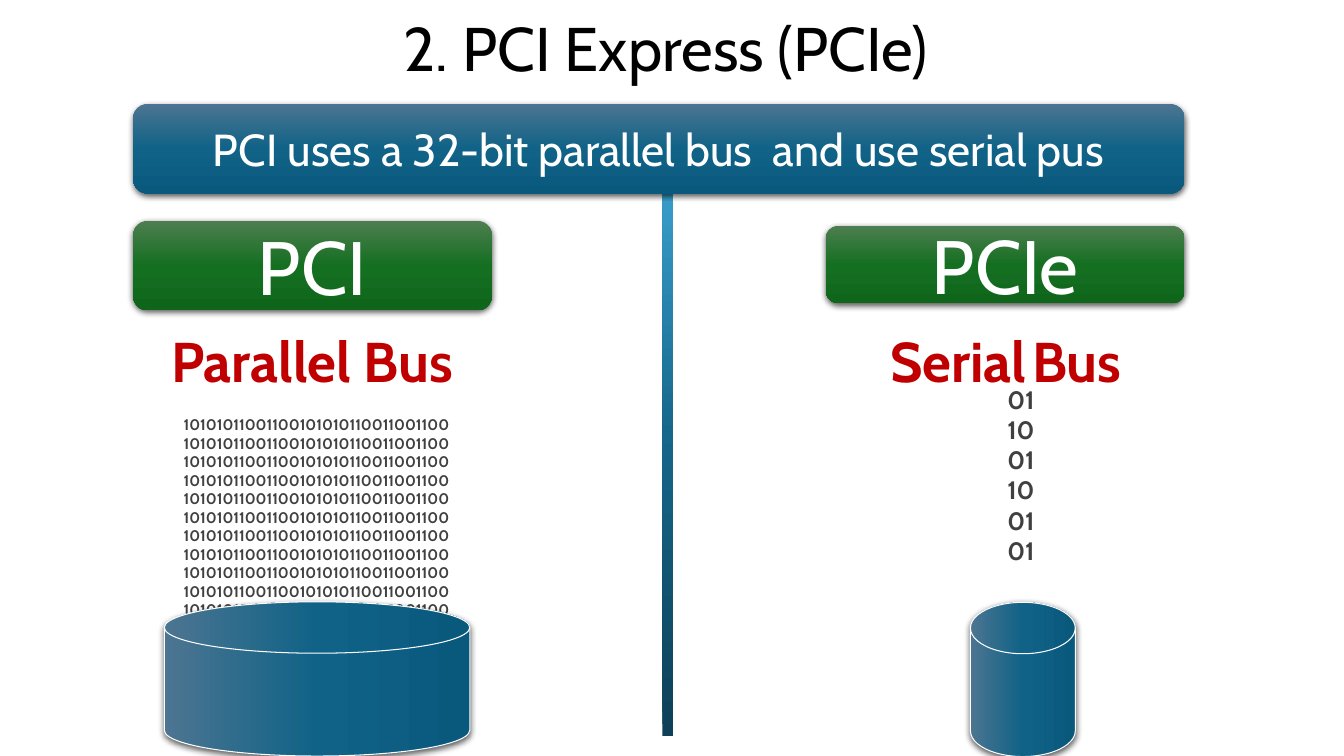
"""Build a slide comparing the parallel PCI bus with the serial PCIe bus."""

import copy
from dataclasses import dataclass

import pptx
import pptx.dml.color
import pptx.dml.fill
import pptx.enum.dml
import pptx.enum.shapes
import pptx.enum.text
import pptx.oxml
import pptx.oxml.ns
import pptx.shapes.autoshape
import pptx.shapes.shapetree
import pptx.text.text
import pptx.util

Inches = pptx.util.Inches
Geometry = pptx.enum.shapes.MSO_SHAPE
Anchor = pptx.enum.text.MSO_ANCHOR
Box = tuple[float, float, float, float]

COLORS = {
    "black": "000000",
    "white": "FFFFFF",
    "red": "C00000",
    "bit_stripe": "808080",
    "bit_ground": "404040",
}
GRADIENTS = {
    "blue": ((0, "4C7591"), (0.5, "106287"), (1, "09597D")),
    "green": ((0, "4D7E50"), (0.5, "156F21"), (1, "0F661B")),
    "divider": ((0, "0E4057"), (0.48, "16678B"), (1, "46B1E1")),
}
SHADOW = (
    f'<a:outerShdw {pptx.oxml.ns.nsdecls("a")} blurRad="57150" dist="19050"'
    ' dir="5400000" algn="ctr" rotWithShape="0">'
    f'<a:srgbClr val="{COLORS["black"]}"><a:alpha val="63000"/></a:srgbClr>'
    "</a:outerShdw>"
)


@dataclass(frozen=True)
class Run:
    text: str
    size: float
    color: str
    bold: bool = False


@dataclass(frozen=True)
class Label:
    box: Box
    lines: tuple[tuple[Run, ...], ...]
    format: dict


@dataclass(frozen=True)
class Panel:
    box: Box
    geometry: Geometry
    gradient: str
    caption: Run | None = None
    angle: float = 270
    rotation: float = 0
    shadow: bool = True
    outlined: bool = False


def rgb(name: str) -> pptx.dml.color.RGBColor:
    return pptx.dml.color.RGBColor.from_string(COLORS[name])


def write_lines(frame: pptx.text.text.TextFrame, lines: tuple[tuple[Run, ...], ...]) -> None:
    for index, runs in enumerate(lines):
        paragraph = frame.add_paragraph() if index else frame.paragraphs[0]
        paragraph.alignment = pptx.enum.text.PP_ALIGN.CENTER
        for part in runs:
            run = paragraph.add_run()
            run.text = part.text
            font_format = {"name": "Cabin", "size": pptx.util.Pt(part.size), "bold": part.bold}
            for attribute, value in font_format.items():
                setattr(run.font, attribute, value)
            if part.color == "bits":
                fill = run.font.fill
                fill.patterned()
                fill.pattern = pptx.enum.dml.MSO_PATTERN.DARK_UPWARD_DIAGONAL
                fill.fore_color.rgb = rgb("bit_stripe")
                fill.back_color.rgb = rgb("bit_ground")
            else:
                run.font.color.rgb = rgb(part.color)


def fill_gradient(shape: pptx.shapes.autoshape.Shape, panel: Panel) -> None:
    shape.fill.gradient()
    shape.fill.gradient_angle = panel.angle
    stop_list = shape.element.spPr.find(".//" + pptx.oxml.ns.qn("a:gsLst"))
    stop_list.append(copy.deepcopy(stop_list[-1]))
    for stop, (position, color) in zip(shape.fill.gradient_stops, GRADIENTS[panel.gradient]):
        stop.position = position
        stop.color.rgb = pptx.dml.color.RGBColor.from_string(color)


def draw_panel(shapes: pptx.shapes.shapetree.SlideShapes, panel: Panel) -> None:
    shape = shapes.add_shape(panel.geometry, *map(Inches, panel.box))
    shape.rotation = panel.rotation
    fill_gradient(shape, panel)
    if panel.outlined:
        shape.line.color.rgb = rgb("white")
        shape.line.width = pptx.util.Pt(0.75)
    else:
        shape.line.fill.background()
    shape.shadow.inherit = False
    if panel.shadow:
        effects = shape.element.spPr.find(pptx.oxml.ns.qn("a:effectLst"))
        effects.append(pptx.oxml.parse_xml(SHADOW))
    if panel.caption:
        shape.text_frame.vertical_anchor = Anchor.MIDDLE
        write_lines(shape.text_frame, ((panel.caption,),))


def draw_label(shapes: pptx.shapes.shapetree.SlideShapes, label: Label) -> None:
    frame = shapes.add_textbox(*map(Inches, label.box)).text_frame
    for attribute, value in label.format.items():
        setattr(frame, attribute, value)
    write_lines(frame, label.lines)
    frame.paragraphs[0].line_spacing = 0.9 if label is TITLE else None


GROWING = {"word_wrap": True, "auto_size": pptx.enum.text.MSO_AUTO_SIZE.SHAPE_TO_FIT_TEXT}
CENTERED = {"word_wrap": True, "vertical_anchor": Anchor.MIDDLE}
ROUNDED = Geometry.ROUNDED_RECTANGLE
DRUM = Geometry.FLOWCHART_DIRECT_ACCESS_STORAGE
PARALLEL_BITS = Run("10101011001100101010110011001100", 11, "bits", True)
SERIAL_BITS = Run("011001100101", 18, "bits", True)

TITLE = Label((0.92, 0, 11.5, 1.03), ((Run("2. PCI Express (PCIe) ", 44, "black"),),), CENTERED)
SERIAL_HEADING = (
    Run("Serial", 40, "red", True),
    Run(" ", 18, "black"),
    Run("Bus", 40, "red", True),
)
PARTS = (
    TITLE,
    Panel((6.57, 1.03, 0.11, 6.27), Geometry.RECTANGLE, "divider", angle=90, shadow=False),
    Panel((1.32, 2.19, 3.56, 0.89), ROUNDED, "green", Run("PCI", 54, "white")),
    Panel((8.19, 2.24, 3.56, 0.77), ROUNDED, "green", Run("PCIe", 54, "white")),
    Label((1.04, 3.19, 4.11, 0.77), ((Run("Parallel Bus", 40, "red", True),),), GROWING),
    Label((7.92, 3.19, 4.11, 0.77), (SERIAL_HEADING,), GROWING),
    Panel(
        (1.32, 1.03, 10.43, 0.89),
        ROUNDED,
        "blue",
        Run("PCI uses a 32-bit parallel bus  and use serial pus", 32, "white"),
    ),
    Label((1.68, 4.07, 2.92, 2.51), ((PARALLEL_BITS,),) * 12, GROWING),
    Panel((2.38, 5.22, 1.53, 3.03), DRUM, "blue", rotation=270, outlined=True),
    Label((9.89, 3.76, 0.47, 3.74), ((SERIAL_BITS,),), GROWING),
    Panel((9.38, 6.22, 1.53, 1.04), DRUM, "blue", rotation=270, outlined=True),
)


def main() -> None:
    presentation = pptx.Presentation()
    presentation.slide_width = Inches(13.33)
    presentation.slide_height = Inches(7.5)
    slide = presentation.slides.add_slide(presentation.slide_layouts[6])
    for part in PARTS:
        if isinstance(part, Panel):
            draw_panel(slide.shapes, part)
        else:
            draw_label(slide.shapes, part)
    presentation.save("out.pptx")


if __name__ == "__main__":
    main()
